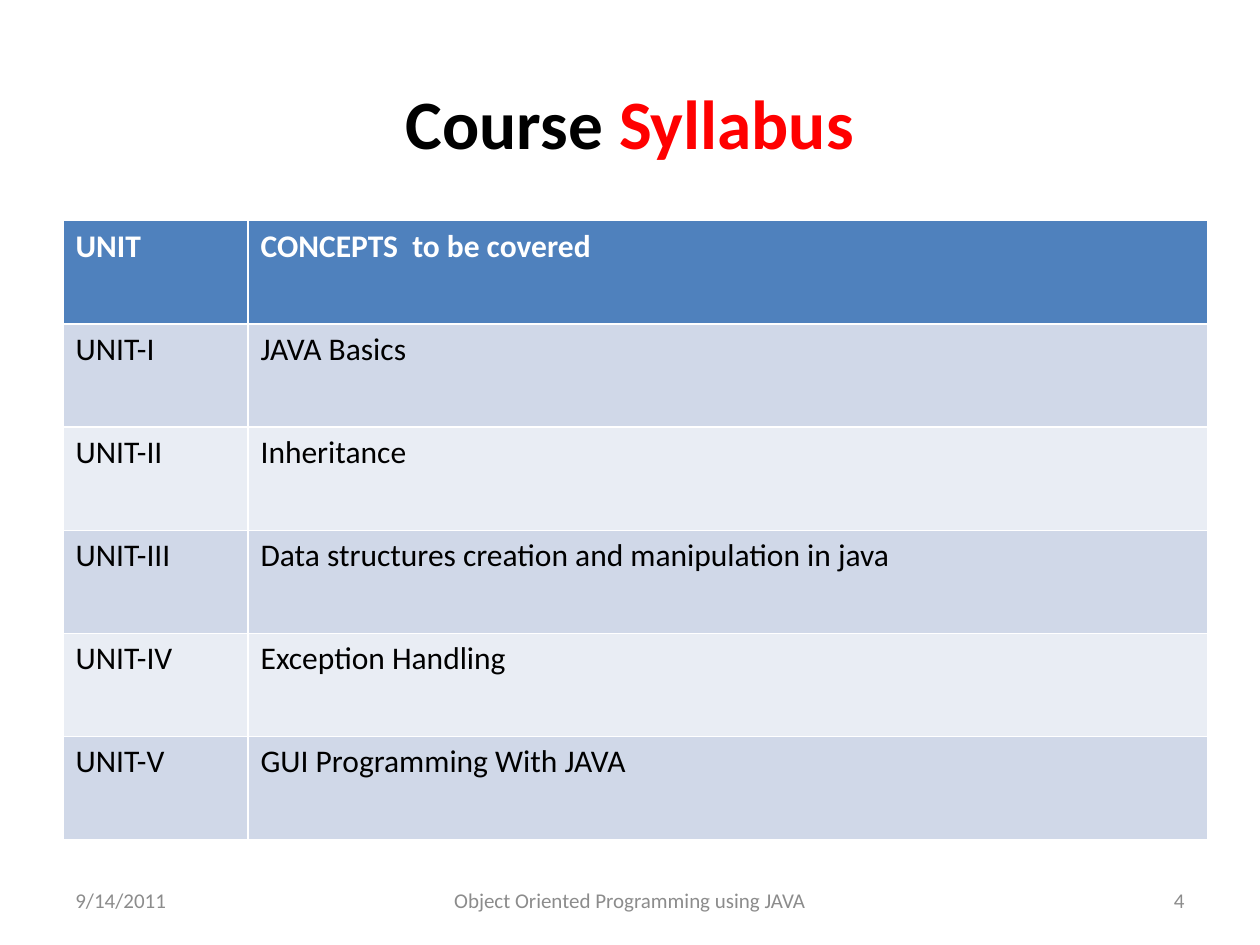
from dataclasses import dataclass

from pptx import Presentation
from pptx.dml.color import RGBColor
from pptx.enum import text
from pptx.util import Cm, Pt


@dataclass(frozen=True)
class Theme:
    font: str = "Calibri"
    black: str = "000000"
    red: str = "FF0000"
    white: str = "FFFFFF"
    gray: str = "8C8C8C"
    head: str = "4F81BD"
    bands: tuple = ("D0D8E8", "E9EDF4")
    title: float = 39.6
    body: float = 18
    small: float = 12


@dataclass(frozen=True)
class Box:
    left: float
    top: float
    width: float
    height: float
    align: text.PP_ALIGN


THEME = Theme()
LEFT = text.PP_ALIGN.LEFT
CENTER = text.PP_ALIGN.CENTER
RIGHT = text.PP_ALIGN.RIGHT

TITLE = Box(1.27, 0.76, 22.86, 3.18, CENTER)
FOOTERS = [
    (Box(1.27, 17.65, 5.93, 1.01, LEFT), "9/14/2011"),
    (Box(8.68, 17.65, 8.04, 1.01, CENTER), "Object Oriented Programming using JAVA"),
    (Box(18.2, 17.65, 5.93, 1.01, RIGHT), "4"),
]
UNITS = [
    ("UNIT", "CONCEPTS  to be covered"),
    ("UNIT-I", "JAVA Basics"),
    ("UNIT-II", "Inheritance"),
    ("UNIT-III", "Data structures creation and manipulation in java"),
    ("UNIT-IV", "Exception Handling"),
    ("UNIT-V", "GUI Programming With JAVA"),
]
COLS = (3.73, 19.35)
ROW = 2.08


def style(run, size: float, color: str, bold: bool = False) -> None:
    font = run.font
    font.name, font.size, font.bold = THEME.font, Pt(size), bold
    font.color.rgb = RGBColor.from_string(color)


def add_text(slide, box: Box, words: str):
    """Add a middle-anchored text box and return its frame."""
    shape = slide.shapes.add_textbox(
        Cm(box.left), Cm(box.top), Cm(box.width), Cm(box.height))
    frame = shape.text_frame
    frame.word_wrap = True
    frame.vertical_anchor = text.MSO_ANCHOR.MIDDLE
    frame.text = words
    frame.paragraphs[0].alignment = box.align
    return frame


def add_title(slide) -> None:
    frame = add_text(slide, TITLE, "Course ")
    frame.margin_top = Cm(0.33)
    line = frame.paragraphs[0]
    line.add_run().text = "Syllabus"
    for run, color in zip(line.runs, (THEME.black, THEME.red)):
        style(run, THEME.title, color, bold=True)


def add_units(slide) -> None:
    # The default table style supplies the white cell borders
    table = slide.shapes.add_table(
        len(UNITS), len(COLS), Cm(1.27), Cm(4.45),
        Cm(sum(COLS)), Cm(ROW * len(UNITS))).table
    for col, width in zip(table.columns, COLS):
        col.width = Cm(width)
    for r, unit in enumerate(UNITS):
        top = r == 0
        fill = THEME.head if top else THEME.bands[(r - 1) % 2]
        color = THEME.white if top else THEME.black
        for c, words in enumerate(unit):
            cell = table.cell(r, c)
            cell.fill.solid()
            cell.fill.fore_color.rgb = RGBColor.from_string(fill)
            cell.text_frame.text = words
            style(cell.text_frame.paragraphs[0].runs[0], THEME.body, color, top)


def main() -> None:
    deck = Presentation()
    deck.slide_width, deck.slide_height = Cm(25.4), Cm(19.05)
    slide = deck.slides.add_slide(deck.slide_layouts[6])

    # Title
    add_title(slide)

    # Date, course name and page number
    for box, words in FOOTERS:
        frame = add_text(slide, box, words)
        style(frame.paragraphs[0].runs[0], THEME.small, THEME.gray)

    # Syllabus table
    add_units(slide)

    deck.save("out.pptx")


if __name__ == "__main__":
    main()
